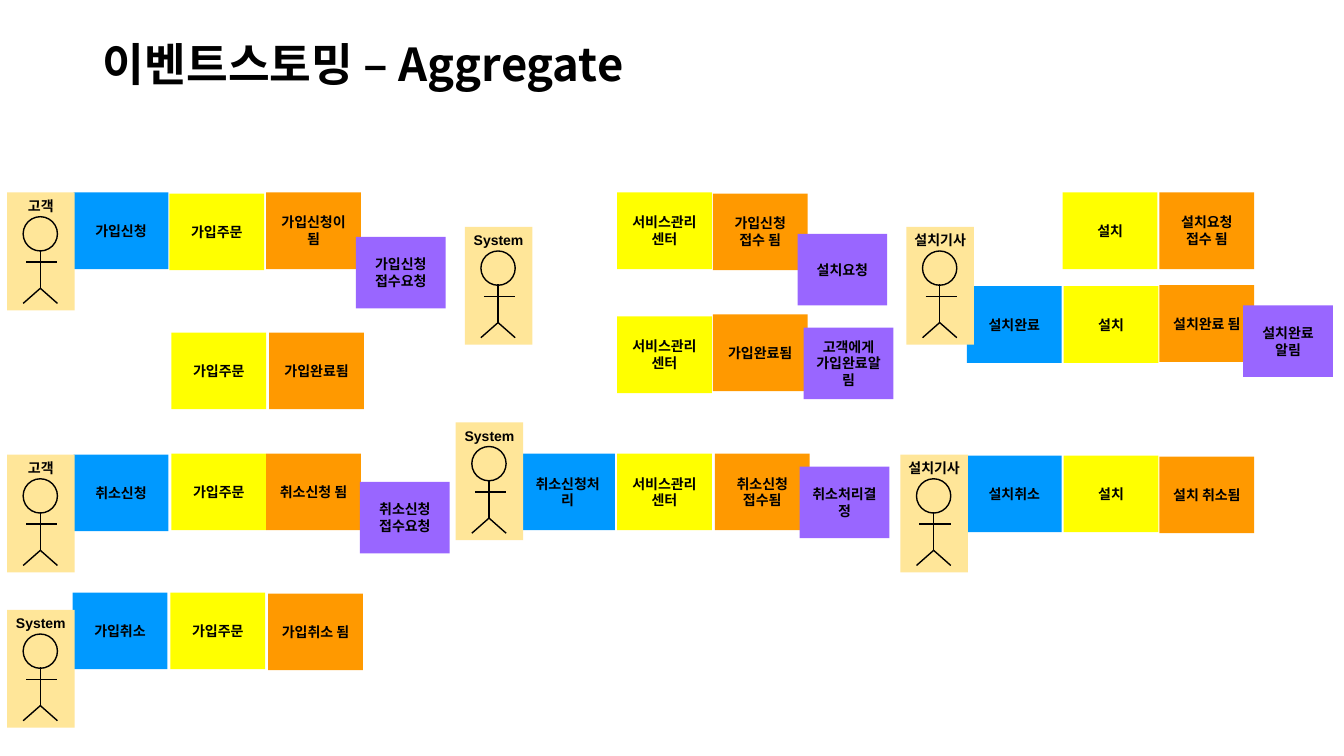
from lxml import etree
from pptx import Presentation
from pptx.dml.color import RGBColor
from pptx.enum.shapes import MSO_CONNECTOR, MSO_SHAPE
from pptx.enum.text import MSO_ANCHOR, MSO_AUTO_SIZE, PP_ALIGN
from pptx.oxml.ns import qn
from pptx.util import Pt

RECTANGLE, OVAL = MSO_SHAPE.RECTANGLE, MSO_SHAPE.OVAL
STRAIGHT = MSO_CONNECTOR.STRAIGHT
TOP, MIDDLE = MSO_ANCHOR.TOP, MSO_ANCHOR.MIDDLE
LEFT, CENTER = PP_ALIGN.LEFT, PP_ALIGN.CENTER
NO_AUTOFIT = MSO_AUTO_SIZE.NONE

EMU_PER_PX = 9144
KOREAN_FONT = "Noto Sans CJK KR"
COLORS = {
    "command": "0099FF",
    "aggregate": "FFFF00",
    "event": "FF9900",
    "policy": "9966FF",
    "actor": "FFE699",
    "ink": "000000",
}
NOTE_SIZES = {
    "command": (94, 76),
    "aggregate": (94, 76),
    "event": (94, 76),
    "policy": (89, 71),
}
STICK_LINES = [
    (33, 57, 33, 95),
    (19, 69, 50, 69),
    (33, 95, 16, 110),
    (33, 95, 50, 110),
]

FLOWS = [
    (73, 191, [("command", 0, 0, "가입신청"), ("aggregate", 95, 1, "가입주문"),
               ("event", 191, 0, "가입신청이 됨"), ("policy", 280, 44, "가입신청 접수요청")]),
    (170, 330, [("aggregate", 0, 0, "가입주문"), ("event", 97, 0, "가입완료됨")]),
    (73, 450, [("command", 0, 1, "취소신청"), ("aggregate", 97, 0, "가입주문"),
               ("event", 191, 0, "취소신청 됨"), ("policy", 284, 28, "취소신청 접수요청")]),
    (72, 588, [("command", 0, 0, "가입취소"), ("aggregate", 97, 0, "가입주문"),
               ("event", 194, 1, "가입취소 됨")]),
    (612, 191, [("aggregate", 0, 0, "서비스관리센터"), ("event", 95, 1, "가입신청 접수 됨"),
                ("policy", 179, 41, "설치요청")]),
    (612, 312, [("aggregate", 0, 2, "서비스관리센터"), ("event", 95, 0, "가입완료됨"),
                ("policy", 185, 13, "고객에게 가입완료알림")]),
    (516, 450, [("command", 0, 0, "취소신청처리"), ("aggregate", 96, 0, "서비스관리센터"),
                ("event", 193, 0, "취소신청 접수됨"), ("policy", 277, 13, "취소처리결정")]),
    (1054, 191, [("aggregate", 0, 0, "설치"), ("event", 96, 0, "설치요청 접수 됨")]),
    (959, 283, [("command", 0, 1, "설치완료"), ("aggregate", 96, 1, "설치"),
                ("event", 191, 0, "설치완료 됨"), ("policy", 274, 20, "설치완료 알림")]),
    (959, 452, [("command", 0, 0, "설치취소"), ("aggregate", 96, 0, "설치"),
                ("event", 191, 1, "설치 취소됨")]),
]
ACTORS = [
    (7, 191, "고객"),
    (7, 451, "고객"),
    (7, 605, "System"),
    (461, 225, "System"),
    (452, 419, "System"),
    (899, 225, "설치기사"),
    (893, 451, "설치기사"),
]


def px(*lengths):
    return [length * EMU_PER_PX for length in lengths]


def color(name):
    return RGBColor.from_string(COLORS[name])


def set_all(target, values):
    for name, value in values.items():
        setattr(target, name, value)


def write_text(shape, text, size, font, frame_format, para_format):
    frame = shape.text_frame
    set_all(frame, frame_format)
    para = frame.paragraphs[0]
    set_all(para, para_format)
    span = para.add_run()
    span.text = text
    set_all(span.font, {"size": Pt(size), "bold": True, "name": font})
    span.font.color.rgb = color("ink")
    etree.SubElement(span.font._element, qn("a:ea"), typeface=KOREAN_FONT)


def add_card(group, box, kind):
    card = group.shapes.add_shape(RECTANGLE, *px(*box))
    card.shadow.inherit = False
    card.fill.solid()
    card.fill.fore_color.rgb = color(kind)
    card.line.fill.background()
    return card


def add_title(page, box, text):
    title = page.shapes.title
    set_all(title, dict(zip(("left", "top", "width", "height"), px(*box))))
    write_text(title, text, 32.4, KOREAN_FONT,
               {"vertical_anchor": MIDDLE, "word_wrap": True, "auto_size": NO_AUTOFIT},
               {"alignment": LEFT, "line_spacing": 0.9})


def add_flow(page, left, top, notes):
    group = page.shapes.add_group_shape()
    for kind, right_by, down_by, text in notes:
        box = (left + right_by, top + down_by, *NOTE_SIZES[kind])
        note = add_card(group, box, kind)
        write_text(note, text, 10, KOREAN_FONT,
                   {"vertical_anchor": MIDDLE, "word_wrap": True},
                   {"alignment": CENTER})


def add_actor(page, left, top, name):
    group = page.shapes.add_group_shape()
    card = add_card(group, (left, top, 67, 117), "actor")
    write_text(card, name, 10, "Arial",
               {"vertical_anchor": TOP, "word_wrap": False},
               {"alignment": CENTER})
    head = group.shapes.add_shape(OVAL, *px(left + 16, top + 24, 34, 34))
    head.shadow.inherit = False
    head.fill.background()
    strokes = [head]
    for start_x, start_y, end_x, end_y in STICK_LINES:
        strokes.append(group.shapes.add_connector(
            STRAIGHT, *px(left + start_x, top + start_y, left + end_x, top + end_y)))
    for stroke in strokes:
        stroke.line.color.rgb = color("ink")
        stroke.line.width = Pt(1)
    for limb in strokes[1:]:
        etree.SubElement(limb._element.spPr, qn("a:effectLst"))


def main():
    deck = Presentation()
    deck.slide_width, deck.slide_height = px(1333, 750)
    page = deck.slides.add_slide(deck.slide_layouts[5])
    add_title(page, (92, 40, 1150, 53), "이벤트스토밍 – Aggregate")
    for flow in FLOWS:
        add_flow(page, *flow)
    for actor in ACTORS:
        add_actor(page, *actor)
    deck.save("out.pptx")


if __name__ == "__main__":
    main()
